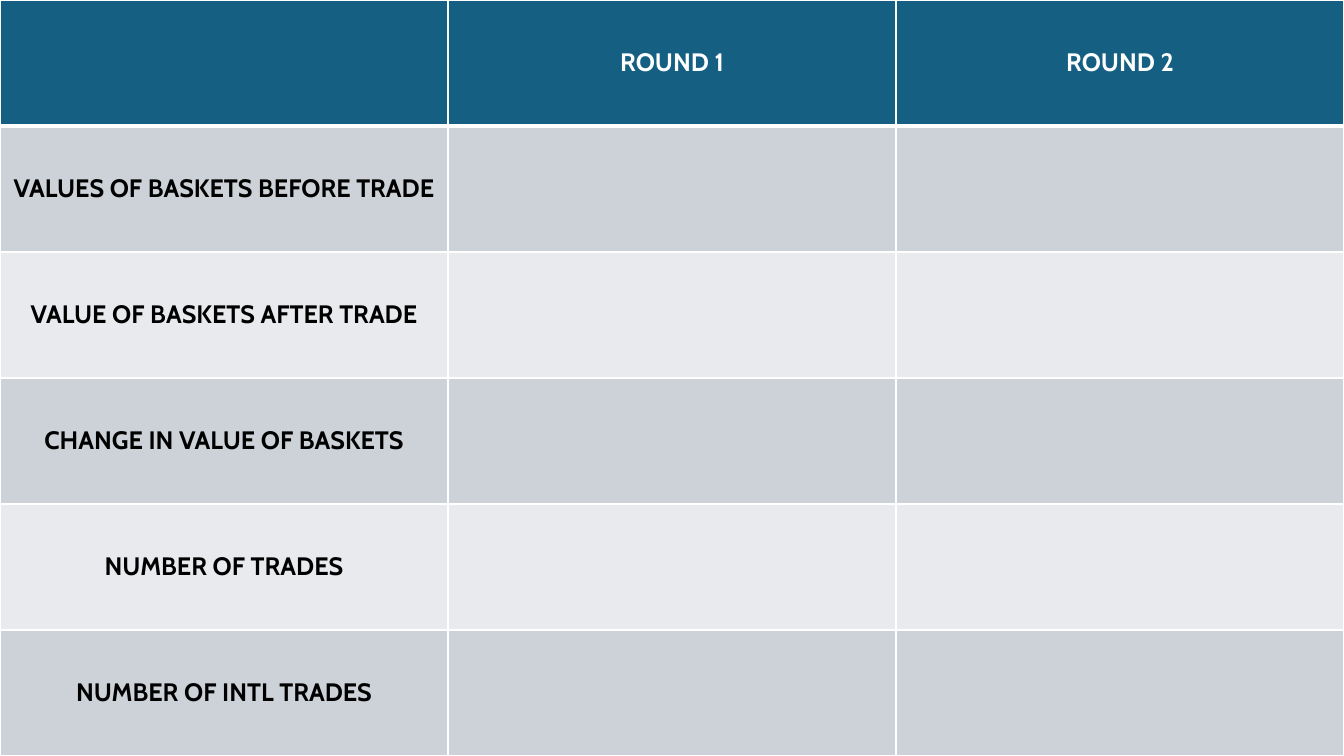
from lxml.etree import SubElement
from pptx import Presentation
from pptx.dml.color import RGBColor
from pptx.enum.text import MSO_ANCHOR, PP_ALIGN
from pptx.oxml.ns import qn
from pptx.util import Inches, Pt

WIDTH, HEIGHT = 13.33, 7.5
HEADER_FILL = "156082"
BAND_FILLS = ("E8EAED", "CCD2D8")
ROWS = [
    ("", "ROUND 1", "ROUND 2"),
    ("VALUES OF BASKETS BEFORE TRADE", "", ""),
    ("VALUE OF BASKETS AFTER TRADE", "", ""),
    ("CHANGE IN VALUE OF BASKETS", "", ""),
    ("NUMBER OF TRADES", "", ""),
    ("NUMBER OF INTL TRADES", "", ""),
]


def color(hex_string):
    """Return the colour for a hex string."""
    return RGBColor.from_string(hex_string)


def set_borders(cell, top, bottom):
    """Draw white cell borders, with the given top and bottom widths in points."""
    properties = cell._tc.get_or_add_tcPr()
    for side, width in (("L", 1), ("R", 1), ("T", top), ("B", bottom)):
        line = SubElement(properties, qn(f"a:ln{side}"), w=str(Pt(width)))
        fill = SubElement(line, qn("a:solidFill"))
        SubElement(fill, qn("a:srgbClr"), val="FFFFFF")


def format_cell(cell, text, row_index):
    """Fill, border and label one cell according to its row."""
    is_header = row_index == 0
    set_borders(cell, 3 if row_index == 1 else 1, 3 if is_header else 1)
    cell.fill.solid()
    cell.fill.fore_color.rgb = color(HEADER_FILL if is_header else BAND_FILLS[row_index % 2])
    cell.vertical_anchor = MSO_ANCHOR.MIDDLE
    cell.text = text
    paragraph = cell.text_frame.paragraphs[0]
    paragraph.alignment = PP_ALIGN.CENTER
    paragraph.font.name = "Cabin"
    paragraph.font.size = Pt(18)
    paragraph.font.bold = True
    paragraph.font.color.rgb = color("FFFFFF" if is_header else "000000")


def add_trade_table(slide, left, top, width, height):
    """Add the score table of both trading rounds, filling the given box."""
    shape = slide.shapes.add_table(
        len(ROWS), len(ROWS[0]), Inches(left), Inches(top), Inches(width), Inches(height)
    )
    for row_index, row in enumerate(ROWS):
        for column_index, text in enumerate(row):
            format_cell(shape.table.cell(row_index, column_index), text, row_index)


def main():
    """Build and save the presentation."""
    presentation = Presentation()
    presentation.slide_width = Inches(WIDTH)
    presentation.slide_height = Inches(HEIGHT)
    slide = presentation.slides.add_slide(presentation.slide_layouts[6])
    add_trade_table(slide, 0, 0, WIDTH, HEIGHT)
    presentation.save("out.pptx")


if __name__ == "__main__":
    main()
